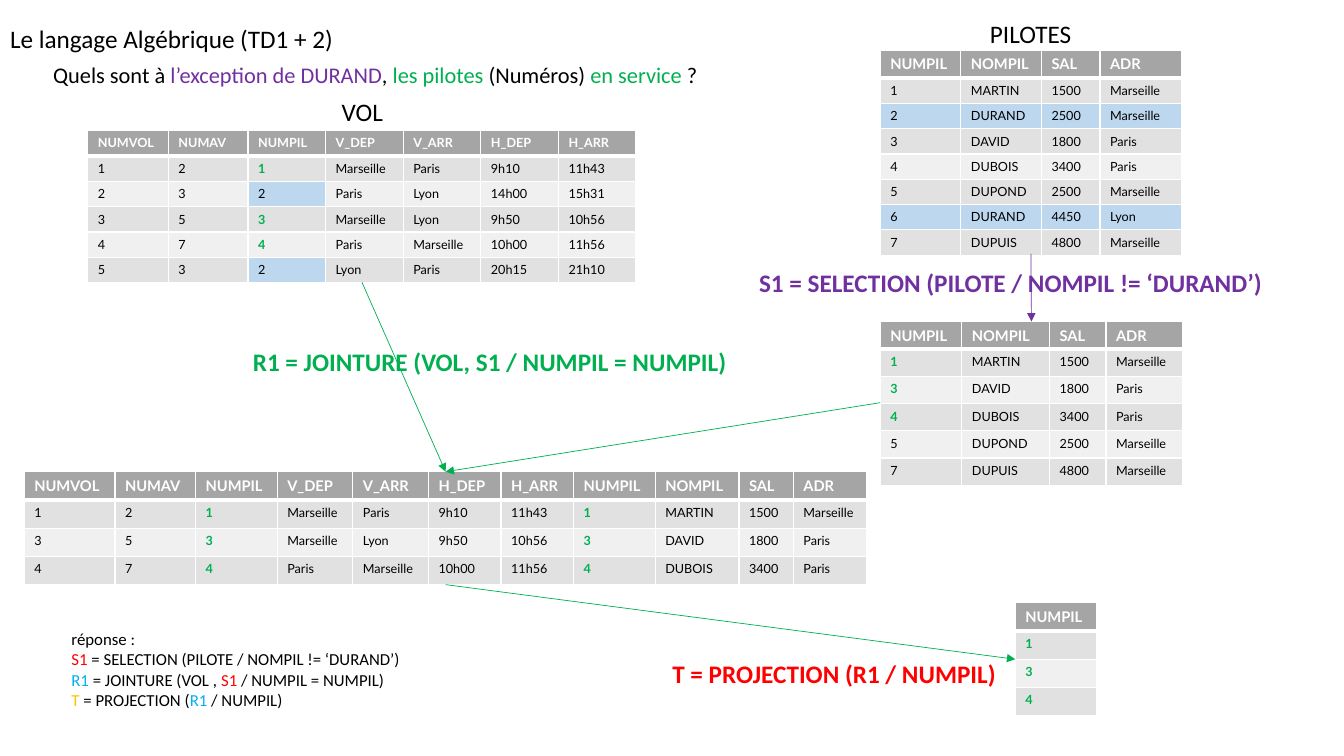
from lxml.etree import SubElement
from pptx import Presentation
from pptx.dml.color import RGBColor
from pptx.enum.shapes import MSO_CONNECTOR
from pptx.enum.text import MSO_ANCHOR, MSO_AUTO_SIZE, PP_ALIGN
from pptx.oxml.ns import qn
from pptx.util import Inches, Pt

BLACK = RGBColor(0x00, 0x00, 0x00)
WHITE = RGBColor(0xFF, 0xFF, 0xFF)
PURPLE = RGBColor(0x70, 0x30, 0xA0)
GREEN = RGBColor(0x00, 0xB0, 0x50)
RED = RGBColor(0xFF, 0x00, 0x00)
BLUE = RGBColor(0x00, 0xB0, 0xF0)
AMBER = RGBColor(0xFF, 0xC0, 0x00)
HEADER_GREY = RGBColor(0xA5, 0xA5, 0xA5)
BANDS = RGBColor(0xF0, 0xF0, 0xF0), RGBColor(0xE1, 0xE1, 0xE1)
EXCLUDED_FILL = RGBColor(0xBD, 0xD7, 0xEE)

PILOT_FIELDS = ["NUMPIL", "NOMPIL", "SAL", "ADR"]
FLIGHT_FIELDS = ["NUMVOL", "NUMAV", "NUMPIL", "V_DEP", "V_ARR", "H_DEP", "H_ARR"]
pilots = [
    ("1", "MARTIN", "1500", "Marseille"),
    ("2", "DURAND", "2500", "Marseille"),
    ("3", "DAVID", "1800", "Paris"),
    ("4", "DUBOIS", "3400", "Paris"),
    ("5", "DUPOND", "2500", "Marseille"),
    ("6", "DURAND", "4450", "Lyon"),
    ("7", "DUPUIS", "4800", "Marseille"),
]
flights = [
    ("1", "2", "1", "Marseille", "Paris", "9h10", "11h43"),
    ("2", "3", "2", "Paris", "Lyon", "14h00", "15h31"),
    ("3", "5", "3", "Marseille", "Lyon", "9h50", "10h56"),
    ("4", "7", "4", "Paris", "Marseille", "10h00", "11h56"),
    ("5", "3", "2", "Lyon", "Paris", "20h15", "21h10"),
]
selection = [pilot for pilot in pilots if pilot[1] != "DURAND"]
join = [flight + pilot for flight in flights for pilot in selection if flight[2] == pilot[0]]
projection = [(row[2],) for row in join]
in_service = {row[0] for row in projection}
excluded = {pilot[0] for pilot in pilots if pilot[1] == "DURAND"}

RELATIONS = {
    "PILOTES": dict(fields=PILOT_FIELDS, rows=pilots, at=(8.73, 0.5),
                    widths=[0.8, 0.8, 0.58, 0.81], heights=(0.27, 0.25)),
    "VOL": dict(fields=FLIGHT_FIELDS, rows=flights, at=(0.87, 1.29), header_size=9,
                widths=[0.8, 0.79] + [0.77] * 5, heights=(0.26, 0.25)),
    "S1": dict(fields=PILOT_FIELDS, rows=selection, at=(8.73, 3.19),
               widths=[0.81, 0.87, 0.56, 0.76], heights=(0.26, 0.27)),
    "R1": dict(fields=FLIGHT_FIELDS + PILOT_FIELDS, rows=join, at=(0.24, 4.68),
               widths=[0.9, 0.8, 0.81, 0.75, 0.75, 0.72, 0.72, 0.81, 0.83, 0.54, 0.73],
               heights=(0.28, 0.28)),
    "T": dict(fields=["NUMPIL"], rows=projection, at=(10.07, 5.98),
              widths=[0.81], heights=(0.28, 0.28)),
}

TITLE = [[("Le langage Algébrique (TD1 + 2)", BLACK)]]
QUESTION = [[("Quels sont à ", BLACK), ("l’exception de DURAND", PURPLE), (", ", BLACK),
             ("les pilotes ", GREEN), ("(Numéros) ", BLACK), ("en service ", GREEN), ("?", BLACK)]]
ANSWER = [
    [("réponse : ", BLACK)],
    [("S1", RED), (" = SELECTION (PILOTE / NOMPIL != ‘DURAND’)", BLACK)],
    [("R1", BLUE), (" = JOINTURE (VOL , ", BLACK), ("S1", RED), (" / NUMPIL = NUMPIL)", BLACK)],
    [("T", AMBER), (" = PROJECTION (", BLACK), ("R1", BLUE), (" / NUMPIL)", BLACK)],
]
LABELS = [
    ([[("PILOTES", BLACK)]], (9.72, 0.13, 1.01, 0.4), 18, False, False),
    (QUESTION, (0.43, 0.56, 6.76, 0.37), 16, False, False),
    ([[("VOL", BLACK)]], (3.29, 0.91, 0.62, 0.4), 18, False, False),
    ([[("S1 = SELECTION (PILOTE / NOMPIL != ‘DURAND’)", PURPLE)]], (7.43, 2.6, 5.28, 0.4), 18, True, True),
    ([[("R1 = JOINTURE (VOL, S1 / NUMPIL = NUMPIL)", GREEN)]], (2.41, 3.39, 5.02, 0.4), 18, True, True),
    ([[("T = PROJECTION (R1 / NUMPIL)", RED)]], (6.57, 6.48, 5.02, 0.4), 18, True, True),
    (ANSWER, (0.61, 6.19, 3.99, 0.91), 12, False, True),
]
STEPS = [("PILOTES", "bottom", "S1", "top", PURPLE), ("VOL", "bottom", "R1", "top", GREEN),
         ("S1", "left", "R1", "top", GREEN), ("R1", "bottom", "T", "left", GREEN)]


def add_run(paragraph, text, color, size, bold, font_name):
    run = paragraph.add_run()
    run.text = text
    font = run.font
    font.name, font.size, font.bold = font_name, Pt(size), bold
    font.color.rgb = color


def write(frame, lines, size, bold, wrap):
    frame.word_wrap = wrap
    frame.auto_size = MSO_AUTO_SIZE.SHAPE_TO_FIT_TEXT
    frame.vertical_anchor = MSO_ANCHOR.TOP
    for index, line in enumerate(lines):
        paragraph = frame.add_paragraph() if index else frame.paragraphs[0]
        paragraph.alignment = PP_ALIGN.LEFT
        paragraph.line_spacing = 1.0
        paragraph.space_before = Pt(0)
        for text, color in line:
            add_run(paragraph, text, color, size, bold, "Calibri")


def add_borders(cell, row):
    properties = cell._tc.get_or_add_tcPr()
    for side in "LRTB":
        thick = (row, side) in {(0, "B"), (1, "T")}
        border = SubElement(properties, qn("a:ln" + side), w=str(Pt(3 if thick else 1)))
        SubElement(SubElement(border, qn("a:solidFill")), qn("a:srgbClr"), val=str(WHITE))


def body_style(name, field, value, record, row):
    fill, color, bold = BANDS[row % 2], BLACK, False
    if name == "PILOTES":
        if "DURAND" in record:
            fill = EXCLUDED_FILL
    elif field == "NUMPIL":
        if value in excluded:
            fill = EXCLUDED_FILL
        elif value in in_service:
            color, bold = GREEN, True
    return fill, color, bold


def add_relation(slide, name, fields, rows, at, widths, heights, header_size=10.5):
    header_height, row_height = heights
    total = header_height + row_height * len(rows)
    frame = slide.shapes.add_table(len(rows) + 1, len(fields), *map(Inches, (*at, sum(widths), total)))
    table = frame.table
    for column, width in zip(table.columns, widths):
        column.width = Inches(width)
    for row, record in enumerate([fields] + rows):
        table.rows[row].height = Inches(row_height if row else header_height)
        for column, (field, value) in enumerate(zip(fields, record)):
            cell = table.cell(row, column)
            fill, color, bold = HEADER_GREY, WHITE, True
            if row:
                fill, color, bold = body_style(name, field, value, record, row)
            add_borders(cell, row)
            cell.fill.solid()
            cell.fill.fore_color.rgb = fill
            add_run(cell.text_frame.paragraphs[0], value, color, 9 if row else header_size, bold, "Lato")
    return frame


def edge_middle(frame, side):
    if side == "left":
        return frame.left, frame.top + frame.height // 2
    return frame.left + frame.width // 2, frame.top + (frame.height if side == "bottom" else 0)


def add_arrow(slide, start, end, color):
    arrow = slide.shapes.add_connector(MSO_CONNECTOR.STRAIGHT, *start, *end)
    arrow.line.color.rgb = color
    arrow.line.width = Pt(0.5)
    properties = arrow._element.spPr
    SubElement(properties.find(qn("a:ln")), qn("a:tailEnd"), type="triangle")
    SubElement(properties, qn("a:effectLst"))


def main():
    """Build the relational algebra slide."""
    deck = Presentation()
    deck.slide_width, deck.slide_height = Inches(13.33), Inches(7.5)
    slide = deck.slides.add_slide(deck.slide_layouts[5])
    title = slide.shapes.title
    title.left, title.top, title.width, title.height = map(Inches, (0, 0.18, 6.67, 0.4))
    write(title.text_frame, TITLE, 18, False, True)
    frames = {name: add_relation(slide, name, **relation) for name, relation in RELATIONS.items()}
    for lines, box, size, bold, wrap in LABELS:
        write(slide.shapes.add_textbox(*map(Inches, box)).text_frame, lines, size, bold, wrap)
    for source, source_side, target, target_side, color in STEPS:
        add_arrow(slide, edge_middle(frames[source], source_side),
                  edge_middle(frames[target], target_side), color)
    deck.save("out.pptx")


main()
